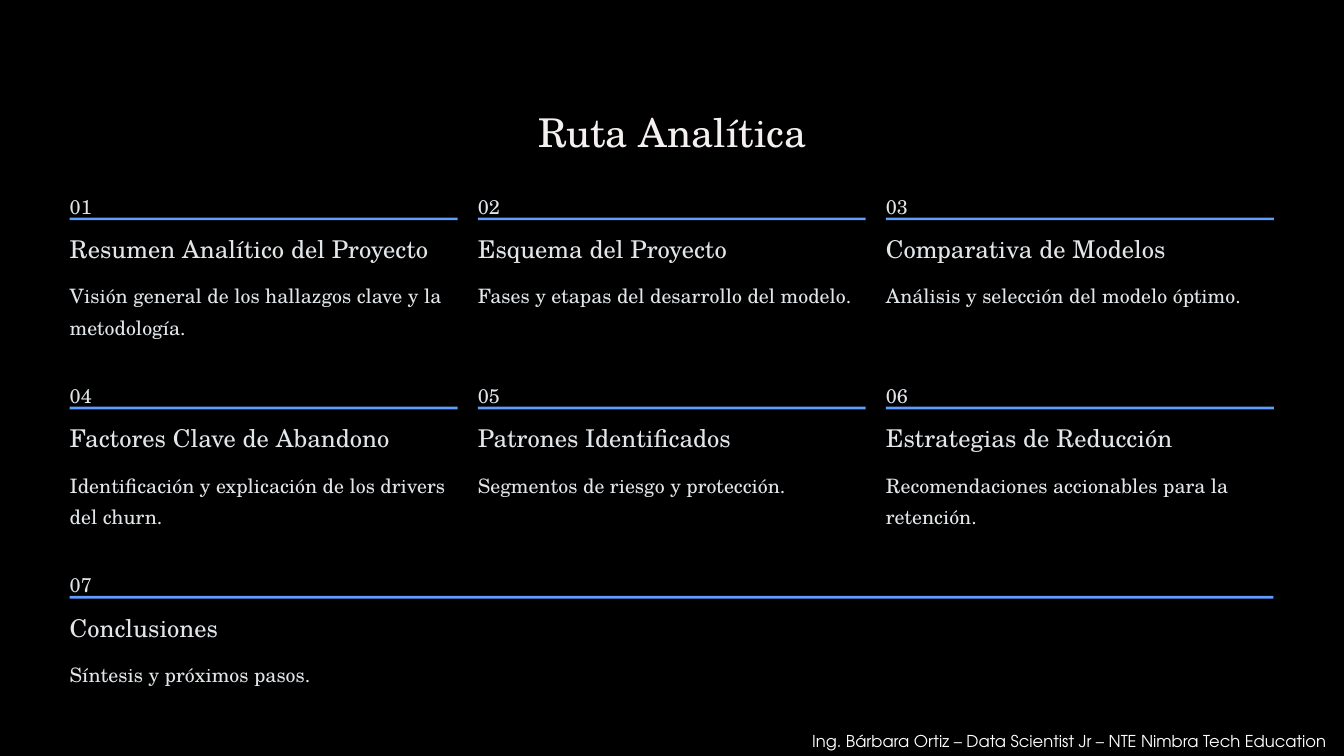
from pptx import Presentation
from pptx import util as u
from pptx.dml import color
from pptx.enum import shapes, text

STEPS = [
    ("Resumen Analítico del Proyecto", 11.48, "Visión general de los hallazgos clave y la metodología.", 2),
    ("Esquema del Proyecto", 7.95, "Fases y etapas del desarrollo del modelo.", 1),
    ("Comparativa de Modelos", 8.94, "Análisis y selección del modelo óptimo.", 1),
    ("Factores Clave de Abandono", 10.11, "Identificación y explicación de los drivers del churn.", 2),
    ("Patrones Identificados", 8.13, "Segmentos de riesgo y protección.", 1),
    ("Estrategias de Reducción", 9.07, "Recomendaciones accionables para la retención.", 2),
    ("Conclusiones", 7.57, "Síntesis y próximos pasos.", 1),
]
COLUMNS = 3
LEFT, TOP = 2.11, 5.64
COLUMN_PITCH, ROW_PITCH = 12.34, 5.72
COLUMN_WIDTH, FULL_WIDTH = 11.73, 36.4
LINE_HEIGHT = 0.97


def rgb(code):
    return color.RGBColor.from_string(code)


class RouteSlide:
    serif = "TeX Gyre Schola"
    sans = "TeX Gyre Adventor"
    ink = "E2E6E9"
    accent = "609DFF"

    def __init__(self, deck):
        self.slide = deck.slides.add_slide(deck.slide_layouts[5])
        background = self.slide.background.fill
        background.solid()
        background.fore_color.rgb = rgb("000000")

    def set_text(self, holder, words, size, code, face, spacing=None, wrap=False, align=None):
        frame = holder.text_frame
        frame.text = words
        line = frame.paragraphs[0]
        frame_format = {"word_wrap": wrap, "auto_size": text.MSO_AUTO_SIZE.NONE,
                        "vertical_anchor": text.MSO_ANCHOR.TOP}
        line_format = {"alignment": align or text.PP_ALIGN.LEFT}
        if spacing:
            frame_format.update(dict.fromkeys(
                ("margin_left", "margin_top", "margin_right", "margin_bottom"), 0))
            line_format["line_spacing"] = u.Pt(spacing)
        font_format = {"name": face, "size": u.Pt(size)}
        for target, values in ((frame, frame_format), (line, line_format),
                               (line.runs[0].font, font_format)):
            for key, value in values.items():
                setattr(target, key, value)
        line.runs[0].font.color.rgb = rgb(code)

    def title(self, words, x, y, width, height):
        heading = self.slide.shapes.title
        place = {"left": x, "top": y, "width": width, "height": height}
        for key, value in place.items():
            setattr(heading, key, u.Cm(value))
        self.set_text(heading, words, 34, "F5F0F0", self.serif, 42.5, align=text.PP_ALIGN.CENTER)

    def label(self, words, x, y, width, height, size=17, spacing=27, wrap=False):
        box = self.slide.shapes.add_textbox(*map(u.Cm, (x, y, width, height)))
        self.set_text(box, words, size, self.ink, self.serif, spacing, wrap)

    def rule(self, x, y, width):
        bar = self.slide.shapes.add_shape(
            shapes.MSO_SHAPE.RECTANGLE, *map(u.Cm, (x, y, width, 0.08)))
        bar.shadow.inherit = False
        bar.fill.solid()
        bar.fill.fore_color.rgb = rgb(self.accent)
        bar.line.fill.background()

    def step(self, number, x, y, width, name, name_width, summary, lines):
        self.label(f"{number:02}", x, y, 0.61, 0.76)
        self.rule(x, y + 0.94, width)
        self.label(name, x, y + 1.4, name_width, 0.94, size=21, spacing=26.5)
        self.label(summary, x, y + 2.72, width, lines * LINE_HEIGHT, wrap=lines > 1)

    def credit(self, words, x, y, width, height):
        box = self.slide.shapes.add_textbox(*map(u.Cm, (x, y, width, height)))
        self.set_text(box, words, 14, "FFFFFF", self.sans)
        box.text_frame.auto_size = text.MSO_AUTO_SIZE.SHAPE_TO_FIT_TEXT


def main():
    deck = Presentation()
    deck.slide_width, deck.slide_height = u.Cm(40.64), u.Cm(22.86)
    route = RouteSlide(deck)
    route.title("Ruta Analítica", 11.51, 3.2, 17.63, 1.52)
    for index, step in enumerate(STEPS):
        row, column = divmod(index, COLUMNS)
        width = FULL_WIDTH if index == len(STEPS) - 1 else COLUMN_WIDTH
        route.step(index + 1, LEFT + column * COLUMN_PITCH, TOP + row * ROW_PITCH, width, *step)
    route.credit("Ing. Bárbara Ortiz – Data Scientist Jr – NTE Nimbra Tech Education",
                 24.31, 22, 16.21, 0.86)
    deck.save("out.pptx")


if __name__ == "__main__":
    main()
